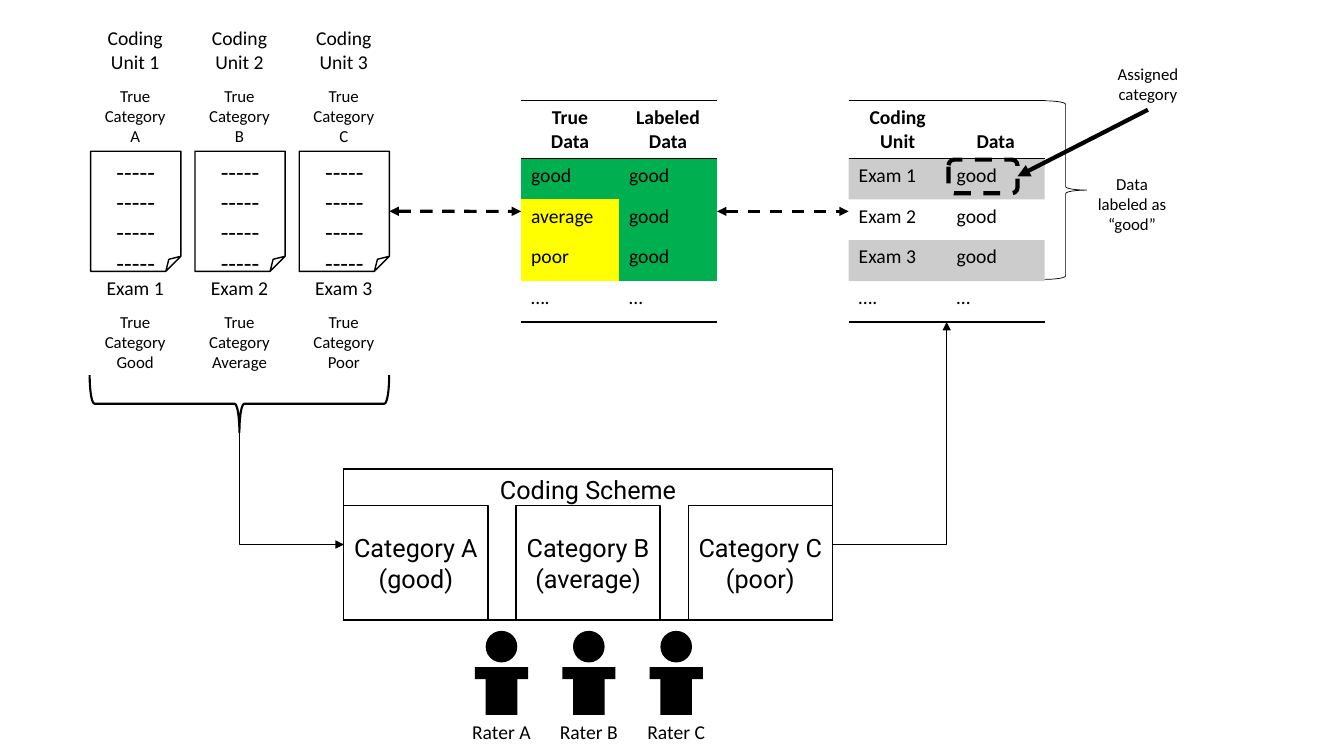
from dataclasses import dataclass

from lxml.etree import SubElement
from pptx import Presentation
from pptx.dml.color import RGBColor
from pptx.enum.dml import MSO_LINE
from pptx.enum.shapes import MSO_CONNECTOR, MSO_SHAPE
from pptx.enum.text import MSO_ANCHOR, MSO_AUTO_SIZE, PP_ALIGN
from pptx.oxml.ns import qn
from pptx.util import Pt


@dataclass(frozen=True)
class Theme:
    ink: RGBColor = RGBColor(0, 0, 0)
    match: RGBColor = RGBColor(0x00, 0xB0, 0x50)
    mismatch: RGBColor = RGBColor(0xFF, 0xFF, 0x00)
    band_alpha: int = 20000
    body_font: str = "Calibri"
    scheme_font: str = "Roboto"
    large: int = 18
    medium: int = 14
    small: int = 12


THEME = Theme()
BAND = "band"
PLAIN_TABLE_STYLE = "{2D5ABB26-0587-4C30-8999-92F81FD0307C}"
TOP, LEFT, BOTTOM, RIGHT = range(4)


def apply_format(target, values):
    for name, value in values.items():
        setattr(target, name, value)


def write_text(text_frame, lines, size, font=THEME.body_font, bold=False, align=PP_ALIGN.CENTER):
    text_frame.text = "\n".join(lines)
    for paragraph in text_frame.paragraphs:
        paragraph.alignment = align
        apply_format(paragraph.font, {"name": font, "size": Pt(size), "bold": bold})
        paragraph.font.color.rgb = THEME.ink


def add_label(shapes, lines, box, size):
    label = shapes.add_textbox(*map(Pt, box))
    apply_format(label.text_frame, {"word_wrap": True, "auto_size": MSO_AUTO_SIZE.SHAPE_TO_FIT_TEXT})
    write_text(label.text_frame, lines, size)
    return label


def add_outline(shapes, kind, box, width=1, dash=None):
    shape = shapes.add_shape(kind, *map(Pt, box))
    shape.shadow.inherit = False
    shape.fill.background()
    shape.line.color.rgb = THEME.ink
    apply_format(shape.line, {"width": Pt(width), "dash_style": dash})
    return shape


def add_solid(shapes, kind, box):
    shape = shapes.add_shape(kind, *map(Pt, box))
    shape.shadow.inherit = False
    shape.fill.solid()
    shape.fill.fore_color.rgb = THEME.ink
    shape.line.fill.background()


def add_arrow(shapes, begin, end, width, ends=("tailEnd",), dash=None, elbow=False):
    kind = MSO_CONNECTOR.ELBOW if elbow else MSO_CONNECTOR.STRAIGHT
    connector = shapes.add_connector(kind, 0, 0, 0, 0)
    for anchor, join, names in (
        (begin, connector.begin_connect, ("begin_x", "begin_y")),
        (end, connector.end_connect, ("end_x", "end_y")),
    ):
        if isinstance(anchor[0], (int, float)):
            apply_format(connector, dict(zip(names, map(Pt, anchor))))
        else:
            join(*anchor)
    connector.line.color.rgb = THEME.ink
    apply_format(connector.line, {"width": Pt(width), "dash_style": dash})
    properties = connector._element.spPr
    if elbow:
        properties.find(qn("a:prstGeom")).set("prst", "bentConnector2")
    for end_name in ends:
        SubElement(properties.find(qn("a:ln")), qn(f"a:{end_name}"), type="triangle")
    SubElement(properties, qn("a:effectLst"))


def fill_cell(cell, fill):
    if fill is None:
        cell.fill.background()
        return
    cell.fill.solid()
    cell.fill.fore_color.rgb = THEME.ink if fill == BAND else fill
    if fill == BAND:
        color = cell._tc.tcPr.find(qn("a:solidFill"))[0]
        SubElement(color, qn("a:alpha"), val=str(THEME.band_alpha))


def add_border(cell, side):
    properties = cell._tc.get_or_add_tcPr()
    border = properties.makeelement(qn(f"a:{side}"), {"w": str(Pt(1))})
    color = SubElement(SubElement(border, qn("a:solidFill")), qn("a:srgbClr"))
    color.set("val", str(THEME.ink))
    properties.insert(0, border)


def add_data_table(shapes, left, rows, fills):
    frame = shapes.add_table(len(rows), 2, Pt(left), Pt(72), Pt(140), Pt(158))
    table = frame.table
    apply_format(table, {"first_row": False, "horz_banding": False})
    table._tbl.tblPr.find(qn("a:tableStyleId")).text = PLAIN_TABLE_STYLE
    last = len(rows) - 1
    for index, (texts, row_fills) in enumerate(zip(rows, fills)):
        header = index == 0
        table.rows[index].height = Pt(41.2 if header else 29.2)
        for column, (text, fill) in enumerate(zip(texts, row_fills)):
            cell = table.cell(index, column)
            cell.vertical_anchor = MSO_ANCHOR.BOTTOM if header else MSO_ANCHOR.TOP
            align = PP_ALIGN.CENTER if header else PP_ALIGN.LEFT
            write_text(cell.text_frame, [text], THEME.medium, bold=header, align=align)
            fill_cell(cell, fill)
            if index in (0, last):
                add_border(cell, "lnB")
            if header:
                add_border(cell, "lnT")
    return frame


def add_exam(shapes, index, letter, quality):
    left = 64.2 + 74.5 * index
    number = index + 1
    page = add_outline(shapes, MSO_SHAPE.FOLDED_CORNER, (left + 0.6, 108, 64.4, 85.8))
    page.text_frame.vertical_anchor = MSO_ANCHOR.TOP
    write_text(page.text_frame, ["-----"] * 4, THEME.large)
    for lines, top, height, size in (
        ([f"Coding Unit {number}"], 15.1, 41, THEME.medium),
        (["True Category", letter], 57.4, 51, THEME.small),
        ([f"Exam {number}"], 193.7, 24.5, THEME.medium),
        (["True Category", quality], 218.9, 51, THEME.small),
    ):
        add_label(shapes, lines, (left, top, 64.8, height), size)
    return page


def add_scheme(shapes, categories):
    group = shapes.add_group_shape().shapes
    for index, (letter, quality) in enumerate(categories):
        box = add_outline(group, MSO_SHAPE.RECTANGLE, (245.6 + 123 * index, 361, 103, 82))
        apply_format(box.text_frame, {"word_wrap": False, "vertical_anchor": MSO_ANCHOR.MIDDLE})
        text = f"Category {letter}\v({quality.lower()})"
        write_text(box.text_frame, [text], THEME.large, THEME.scheme_font)
    frame = add_outline(group, MSO_SHAPE.RECTANGLE, (245.6, 335, 349, 108))
    frame.text_frame.vertical_anchor = MSO_ANCHOR.TOP
    write_text(frame.text_frame, ["Coding Scheme"], THEME.large, THEME.scheme_font)
    return frame


def add_rater(shapes, index, letter):
    center = 358.2 + 62.4 * index
    add_solid(shapes, MSO_SHAPE.OVAL, (center - 11.3, 450.6, 22.6, 22.6))
    add_solid(shapes, MSO_SHAPE.RECTANGLE, (center - 11.3, 476.6, 22.6, 34))
    add_solid(shapes, MSO_SHAPE.RECTANGLE, (center - 19, 476.6, 38, 8.6))
    add_label(shapes, [f"Rater {letter}"], (center - 31.3, 510.5, 62.6, 24.5), THEME.medium)


def main():
    presentation = Presentation()
    apply_format(presentation, {"slide_width": Pt(960), "slide_height": Pt(540)})
    slide = presentation.slides.add_slide(presentation.slide_layouts[6])
    shapes = slide.shapes
    categories = [("A", "Good"), ("B", "Average"), ("C", "Poor")]

    pages = [add_exam(shapes, index, *category) for index, category in enumerate(categories)]
    unit_table = add_data_table(
        shapes, 606.2,
        [("Coding Unit", "Data"), ("Exam 1", "good"), ("Exam 2", "good"), ("Exam 3", "good"), ("….", "…")],
        [(None, None), (BAND, BAND), (None, None), (BAND, BAND), (None, None)],
    )
    scheme = add_scheme(shapes, categories)
    exam_brace = add_outline(shapes, MSO_SHAPE.RIGHT_BRACE, (150.5, 181.4, 41, 214), 1.5)
    exam_brace.rotation = 90
    add_arrow(shapes, (scheme, LEFT), (171.2, 309), 0.5, ends=("headEnd",), elbow=True)
    add_arrow(shapes, (scheme, RIGHT), (unit_table, BOTTOM), 0.5, elbow=True)

    add_outline(shapes, MSO_SHAPE.RIGHT_BRACE, (746.2, 72, 30, 127.6), 0.5)
    add_label(shapes, ["Data labeled as “good”"], (776.2, 120.4, 64.8, 51), THEME.small)
    assigned = add_label(shapes, ["Assigned category"], (787.6, 42, 64.8, 36.4), THEME.small)
    marker = add_outline(shapes, MSO_SHAPE.ROUNDED_RECTANGLE, (677.6, 114, 49.2, 24), 3, MSO_LINE.DASH)
    add_arrow(shapes, (assigned, BOTTOM), (marker, RIGHT), 3)

    raters = shapes.add_group_shape().shapes
    for index, (letter, _) in enumerate(categories):
        add_rater(raters, index, letter)

    good, poor = THEME.match, THEME.mismatch
    label_table = add_data_table(
        shapes, 372.2,
        [("True Data", "Labeled Data"), ("good", "good"), ("average", "good"), ("poor", "good"), ("….", "…")],
        [(None, None), (good, good), (poor, good), (poor, good), (None, None)],
    )
    for begin, end in ((pages[-1], label_table), (label_table, unit_table)):
        add_arrow(shapes, (begin, RIGHT), (end, LEFT), 2.25, ("headEnd", "tailEnd"), MSO_LINE.DASH)
    presentation.save("out.pptx")


if __name__ == "__main__":
    main()
